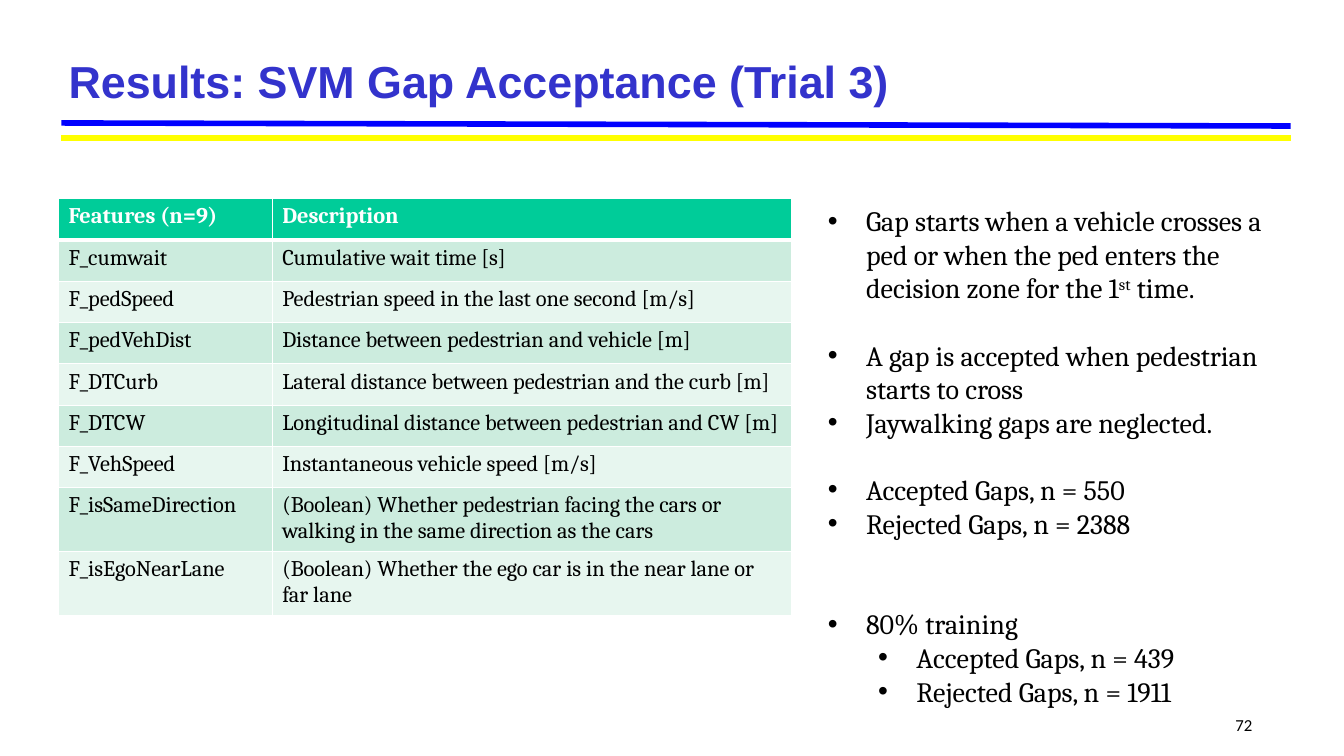
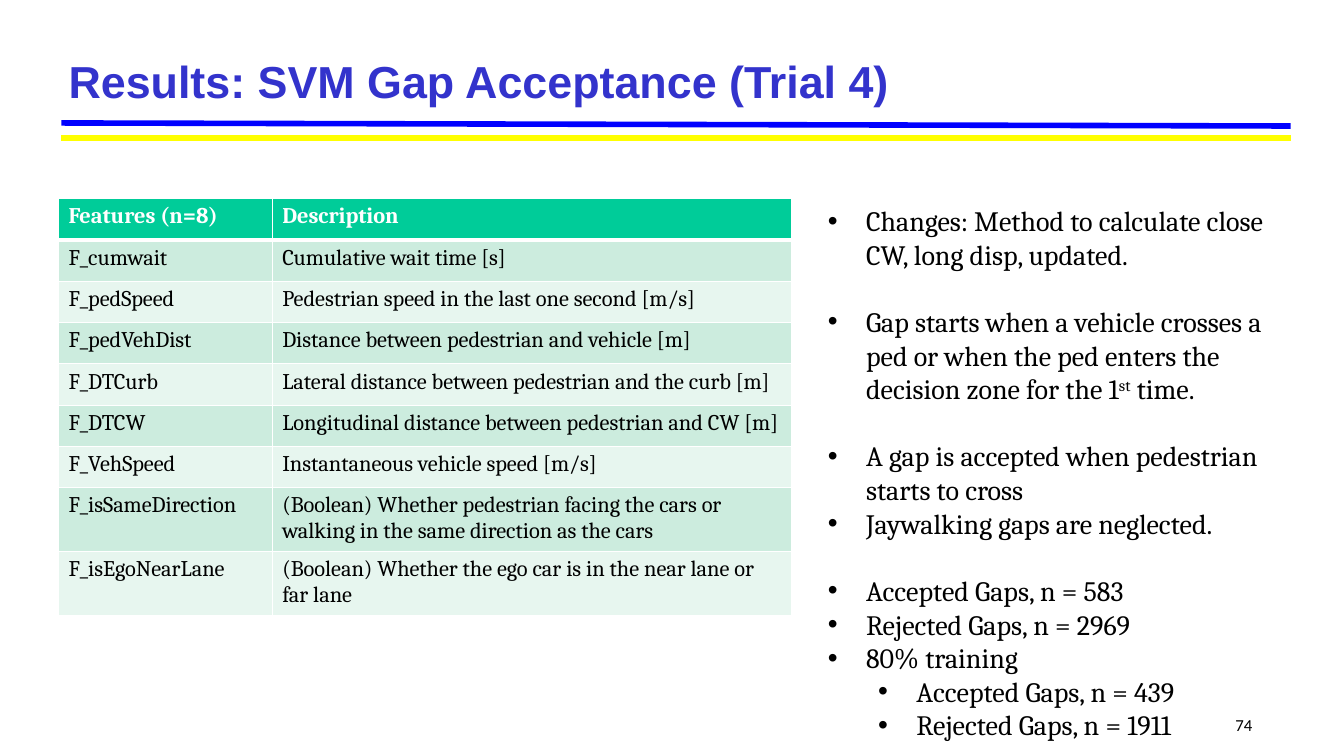
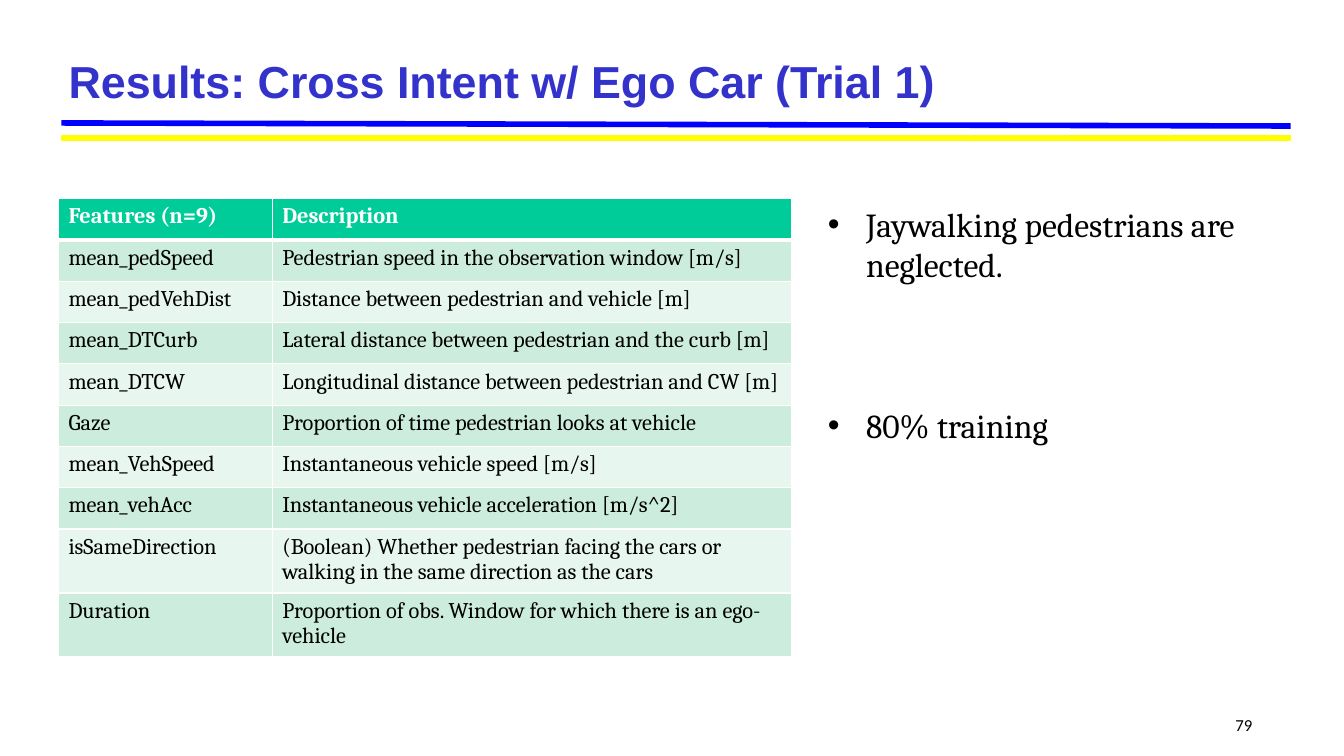
from dataclasses import dataclass

from lxml.etree import SubElement
from pptx import Presentation
from pptx.dml.color import RGBColor
from pptx.enum.shapes import MSO_CONNECTOR
from pptx.enum.text import MSO_ANCHOR, MSO_AUTO_SIZE, PP_ALIGN
from pptx.oxml.ns import qn
from pptx.util import Inches, Pt


@dataclass(frozen=True)
class Theme:
    title: str = "3333CC"
    blue: str = "0000FF"
    yellow: str = "FFFF00"
    head: str = "00CC99"
    bands: tuple = ("E7F6EF", "CCECDE")
    white: str = "FFFFFF"
    black: str = "000000"
    sans: str = "Arial"
    serif: str = "Cambria"
    plain: str = "Calibri"
    big: int = 32
    list: int = 20
    cell: int = 16
    small: int = 12


def rgb(code):
    return RGBColor.from_string(code)


def write(para, text, font, size, color, bold=False, base=0):
    run = para.add_run()
    run.text = text
    run.font.name = font
    run.font.size = Pt(size)
    run.font.bold = bold
    run.font.color.rgb = rgb(color)
    if base:
        run._r.get_or_add_rPr().set("baseline", str(base * 1000))


def place(shape, left, top, width, height):
    shape.left, shape.top = Inches(left), Inches(top)
    shape.width, shape.height = Inches(width), Inches(height)


def edge(cell, side, width, color):
    line = SubElement(cell._tc.get_or_add_tcPr(), qn("a:ln" + side), w=str(Pt(width)))
    fill = SubElement(line, qn("a:solidFill"))
    SubElement(fill, qn("a:srgbClr"), val=color)


class Deck:
    def __init__(self, theme):
        self.theme = theme
        self.file = Presentation()
        self.file.slide_width = Inches(13.33)
        self.file.slide_height = Inches(7.5)
        self.slide = None

    def page(self, title, number):
        self.slide = self.file.slides.add_slide(self.file.slide_layouts[1])
        self.rule(1.22, 1.25, self.theme.blue)
        self.rule(1.37, 1.37, self.theme.yellow)
        self.title(title)
        self.number(number)

    def rule(self, start, end, color):
        line = self.slide.shapes.add_connector(
            MSO_CONNECTOR.STRAIGHT, Inches(0.61), Inches(start), Inches(12.8), Inches(end))
        line.line.color.rgb = rgb(color)
        line.line.width = Pt(4)
        SubElement(line.element.spPr, qn("a:effectLst"))

    def title(self, text):
        shape = self.slide.shapes.title
        place(shape, 0.58, 0.5, 12.22, 0.59)
        frame = shape.text_frame
        frame.auto_size = MSO_AUTO_SIZE.NONE
        frame.vertical_anchor = MSO_ANCHOR.MIDDLE
        para = frame.paragraphs[0]
        para.alignment = PP_ALIGN.LEFT
        style = self.theme
        write(para, text, style.sans, style.big, style.title, bold=True)

    def number(self, value):
        box = self.slide.shapes.add_textbox(
            Inches(12.1), Inches(7.04), Inches(0.42), Inches(0.26))
        box.text_frame.word_wrap = True
        para = box.text_frame.paragraphs[0]
        para.alignment = PP_ALIGN.RIGHT
        write(para, str(value), self.theme.plain, self.theme.small, self.theme.black)

    def table(self, rows):
        style, widths, tall = self.theme, (2.12, 5.15), 0.41
        grid = self.slide.shapes.add_table(
            len(rows), len(widths), Inches(0.58), Inches(1.97),
            Inches(sum(widths)), Inches(tall * len(rows))).table
        grid.horz_banding = False
        for col, width in zip(grid.columns, widths):
            col.width = Inches(width)
        for i, row in enumerate(rows):
            grid.rows[i].height = Inches(tall)
            top = i == 0
            for j, text in enumerate(row):
                cell = grid.cell(i, j)
                for side in "LRTB":
                    thick = (i, side) in ((0, "B"), (1, "T"))
                    edge(cell, side, 3 if thick else 1, style.white)
                cell.fill.solid()
                cell.fill.fore_color.rgb = rgb(style.head if top else style.bands[i % 2])
                write(cell.text_frame.paragraphs[0], text, style.serif, style.cell,
                      style.white if top else style.black, bold=top)

    def bullets(self, items, height, size=None):
        style = self.theme
        size = size or style.list
        shape = self.slide.placeholders[1]
        place(shape, 8.11, 1.97, 4.91, height)
        frame = shape.text_frame
        frame.auto_size = MSO_AUTO_SIZE.NONE
        frame.vertical_anchor = MSO_ANCHOR.TOP
        for i, (level, gap, *parts) in enumerate(items):
            para = frame.add_paragraph() if i else frame.paragraphs[0]
            para.level = level
            para.space_before = Pt(gap * size * 1.2)
            para.space_after = Pt(0)
            props = para._p.get_or_add_pPr()
            props.set("marL", str(Inches(0.38 + 0.5 * level)))
            props.set("indent", str(Inches(-0.38)))
            SubElement(props, qn("a:buFont"), typeface=style.sans)
            SubElement(props, qn("a:buChar"), char="•")
            for k, text in enumerate(parts):
                write(para, text, style.serif, size, style.black, base=30 * (k % 2))


DIST = "Distance between pedestrian and vehicle [m]"
CURB = "Lateral distance between pedestrian and the curb [m]"
WALK = "Longitudinal distance between pedestrian and CW [m]"
SPEED = "Instantaneous vehicle speed [m/s]"
SAME = "(Boolean) Whether pedestrian facing the cars or walking in the same direction as the cars"

GAP = [
    ("F_cumwait", "Cumulative wait time [s]"),
    ("F_pedSpeed", "Pedestrian speed in the last one second [m/s]"),
    ("F_pedVehDist", DIST),
    ("F_DTCurb", CURB),
    ("F_DTCW", WALK),
    ("F_VehSpeed", SPEED),
    ("F_isSameDirection", SAME),
    ("F_isEgoNearLane", "(Boolean) Whether the ego car is in the near lane or far lane"),
]
CROSS = [
    ("mean_pedSpeed", "Pedestrian speed in the observation window [m/s]"),
    ("mean_pedVehDist", DIST),
    ("mean_DTCurb", CURB),
    ("mean_DTCW", WALK),
    ("Gaze", "Proportion of time pedestrian looks at vehicle"),
    ("mean_VehSpeed", SPEED),
    ("mean_vehAcc", "Instantaneous vehicle acceleration [m/s^2]"),
    ("isSameDirection", SAME),
    ("Duration", "Proportion of obs. Window for which there is an ego-vehicle"),
]


def head(count):
    return [(f"Features (n={count})", "Description")]


def counts(level, gap, yes, no):
    return [(level, gap, f"Accepted Gaps, n = {yes}"), (level, 0, f"Rejected Gaps, n = {no}")]


def notes(first, yes, no, gap):
    return [
        (0, first, "Gap starts when a vehicle crosses a ped or when the ped enters "
                   "the decision zone for the 1", "st", " time."),
        (0, 1, "A gap is accepted when pedestrian starts to cross"),
        (0, 0, "Jaywalking gaps are neglected."),
        *counts(0, 1, yes, no),
        (0, gap, "80% training"),
        *counts(1, 0, 439, 1911),
    ]


def main():
    deck = Deck(Theme())

    deck.page("Results: SVM Gap Acceptance (Trial 3)", 72)
    deck.table(head(9) + GAP)
    deck.bullets(notes(0, 550, 2388, 2), 5.15)

    deck.page("Results: SVM Gap Acceptance (Trial 4)", 74)
    deck.table(head(8) + GAP)
    change = (0, 0, "Changes: Method to calculate close CW, long disp, updated.")
    deck.bullets([change] + notes(1, 583, 2969, 0), 5.49)

    deck.page("Results: Cross Intent w/ Ego Car (Trial 1)", 79)
    deck.table(head(9) + CROSS)
    deck.bullets([(0, 0, "Jaywalking pedestrians are neglected."),
                  (0, 3, "80% training")], 2.52, size=24)

    deck.file.save("out.pptx")


if __name__ == "__main__":
    main()
